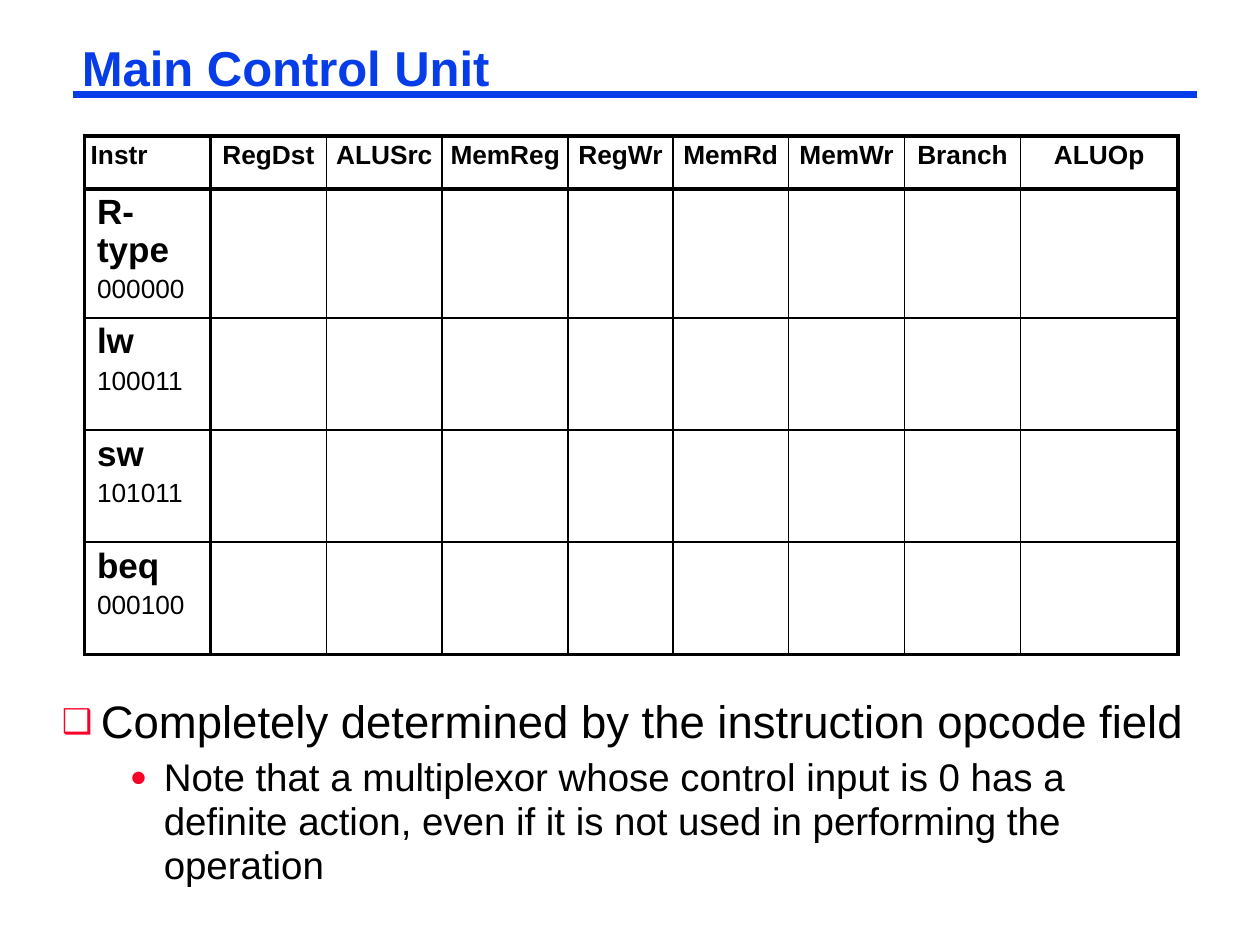
"""Build the Main Control Unit slide with its control signal table."""
from lxml import etree
from pptx import Presentation
from pptx.dml.color import RGBColor
from pptx.enum.shapes import MSO_CONNECTOR
from pptx.enum.text import MSO_ANCHOR, PP_ALIGN
from pptx.oxml.ns import qn
from pptx.util import Inches, Pt

BLUE = RGBColor(0x06, 0x3D, 0xE8)
RED = RGBColor(0xFC, 0x01, 0x28)
BLACK = RGBColor(0, 0, 0)
STRAIGHT = MSO_CONNECTOR.STRAIGHT
TOP = MSO_ANCHOR.TOP
LEFT, CENTER = PP_ALIGN.LEFT, PP_ALIGN.CENTER


def write(paragraph, text, size, color=BLACK, bold=False, spacing=0.95, before=0.25):
    paragraph.line_spacing = spacing
    paragraph.space_before = Pt(round(size * before, 2))
    run = paragraph.add_run()
    run.text = text
    run.font.name = "Arial"
    run.font.size = Pt(size)
    run.font.bold = bold
    run.font.color.rgb = color


def add_text_frame(left, top, width, height):
    box = slide.shapes.add_textbox(Inches(left), Inches(top), Inches(width), Inches(height))
    frame = box.text_frame
    frame.word_wrap = True
    frame.vertical_anchor = TOP
    frame.margin_left = frame.margin_right = Inches(0.07)
    frame.margin_top = frame.margin_bottom = Inches(0.03)
    return frame


prs = Presentation()
prs.slide_width, prs.slide_height = Inches(10), Inches(7.5)
slide = prs.slides.add_slide(prs.slide_layouts[6])

title_rule = slide.shapes.add_connector(STRAIGHT, Inches(0.58), Inches(0.75), Inches(9.5), Inches(0.75))
title_rule.line.color.rgb = BLUE
title_rule.line.width = Pt(4.5)
etree.SubElement(title_rule._element.spPr, qn("a:effectLst"))

title = add_text_frame(0.58, 0.33, 8.92, 0.46)
write(title.paragraphs[0], "Main Control Unit", 28, BLUE, True, 0.87, 0)

signals = ["Instr", "RegDst", "ALUSrc", "MemReg", "RegWr", "MemRd", "MemWr", "Branch", "ALUOp"]
instructions = [("R-type", "000000"), ("lw", "100011"), ("sw", "101011"), ("beq", "000100")]
column_widths = [1, 0.92, 0.92, 1, 0.83, 0.92, 0.92, 0.92, 1.25]
row_heights = [0.42] + [0.89] * len(instructions)
heavy_columns = {0, 1, len(column_widths)}
heavy_rows = {0, 1, len(row_heights)}

control_table = slide.shapes.add_table(
    len(row_heights), len(column_widths), Inches(0.67), Inches(1.08),
    Inches(sum(column_widths)), Inches(sum(row_heights))).table
control_table.first_row = control_table.horz_banding = False
for column, width in zip(control_table.columns, column_widths):
    column.width = Inches(width)
for row, height in zip(control_table.rows, row_heights):
    row.height = Inches(height)

for r in range(len(row_heights)):
    for c in range(len(column_widths)):
        cell = control_table.cell(r, c)
        edges = {"a:lnL": c in heavy_columns, "a:lnR": c + 1 in heavy_columns,
                 "a:lnT": r in heavy_rows, "a:lnB": r + 1 in heavy_rows}
        for tag, heavy in edges.items():
            border = etree.SubElement(cell._tc.get_or_add_tcPr(), qn(tag), w=str(Pt(2.25 if heavy else 1)))
            border_fill = etree.SubElement(border, qn("a:solidFill"))
            etree.SubElement(border_fill, qn("a:srgbClr"), val=str(BLACK))
        cell.fill.background()

for c, signal in enumerate(signals):
    cell = control_table.cell(0, c)
    cell.margin_left = cell.margin_right = cell.margin_top = cell.margin_bottom = Inches(0.05)
    heading = cell.text_frame.paragraphs[0]
    heading.alignment = CENTER if c else LEFT
    write(heading, signal, 15, bold=True)

for r, (name, opcode) in enumerate(instructions, 1):
    frame = control_table.cell(r, 0).text_frame
    write(frame.paragraphs[0], name, 20, bold=True)
    write(frame.add_paragraph(), opcode, 15)

notes = [
    (0, "❑", 0.31, -0.31, 26, "Completely determined by the instruction opcode field"),
    (1, "●", 0.81, -0.27, 22, "Note that a multiplexor whose control input is 0 has a definite action, "
                              "even if it is not used in performing the operation"),
]
body = add_text_frame(0.42, 5.5, 9.08, 1.58)
for level, bullet, margin, indent, size, text in notes:
    paragraph = body.add_paragraph() if level else body.paragraphs[0]
    paragraph.level = level
    write(paragraph, text, size, before=0.2)
    properties = paragraph._p.get_or_add_pPr()
    properties.set("marL", str(Inches(margin)))
    properties.set("indent", str(Inches(indent)))
    bullet_color = etree.SubElement(properties, qn("a:buClr"))
    etree.SubElement(bullet_color, qn("a:srgbClr"), val=str(RED))
    etree.SubElement(properties, qn("a:buSzPct"), val="75000")
    etree.SubElement(properties, qn("a:buFont"), typeface="Arial")
    etree.SubElement(properties, qn("a:buChar"), char=bullet)

prs.save("out.pptx")
